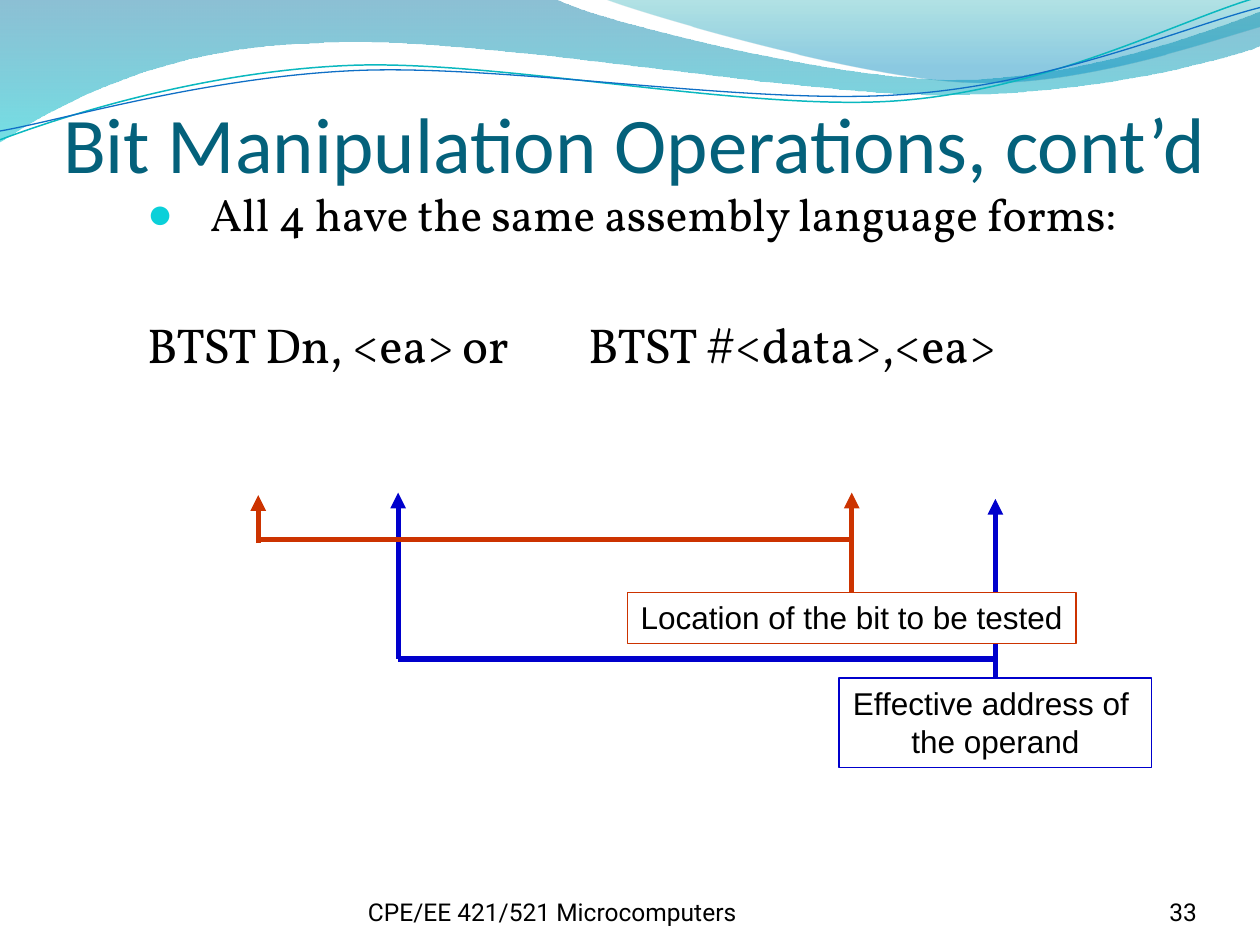
from pptx import Presentation
from pptx.dml.color import RGBColor
from pptx.enum.shapes import MSO_CONNECTOR, MSO_SHAPE
from pptx.enum.text import MSO_ANCHOR, PP_ALIGN
from pptx.oxml.ns import qn
from pptx.util import Inches, Pt
from lxml.etree import SubElement

THEME = {
    "title": {"font": "Calibri", "size": 45, "color": "04617B"},
    "body": {"font": "Vollkorn", "size": 26, "color": "000000"},
    "syntax": {"font": "Vollkorn", "size": 28, "color": "000000"},
    "label": {"font": "Arial", "size": 18, "color": "000000"},
    "footer": {"font": "Roboto", "size": 14, "color": "000000"},
    "bullet": "0BD0D9", "address": "0000CC", "bit": "CC3300", "paper": "FFFFFF",
}
TITLE = "Bit Manipulation Operations, cont’d"
BULLET = "All 4 have the same assembly language forms:"
SYNTAX = "BTST Dn, <ea>\tor\tBTST #<data>,<ea>"
SYNTAX_TABS = (2.5, 3.5)
FOOTERS = [
    ("CPE/EE 421/521 Microcomputers", (2.92, 6.95, 3.67, 0.4), PP_ALIGN.LEFT),
    ("33", (8.67, 6.95, 0.83, 0.4), PP_ALIGN.RIGHT),
]
WAVES = [
    {"steps": [(0, 0), (4.4, -0.01), (4.76, 0.17, 6.64, 0.63, 7.58, 0.63),
               (8.53, 0.63, 9.58, 0.26, 10, 0.09), (10.01, 0.36),
               (9.83, 0.44, 8.7, 0.76, 7.46, 0.75), (6.22, 0.75, 3.82, 0.28, 2.57, 0.34),
               (1.29, 0.36, 0.46, 0.83, -0.01, 1.13), (0, 0)],
     "stops": [(0, "0074A1", 45), (1, "00C6CF", 55)]},
    {"steps": [(4.79, -0.01), (5.09, 0.11, 6.82, 0.62, 7.69, 0.65),
               (8.56, 0.69, 9.61, 0.32, 10, 0.21), (10, 0), (4.79, -0.01)],
     "stops": [(0, "00A1A9", 30), (0.8, "008BBF", 45)]},
    {"steps": [(0, 1.11), (0.48, 0.93, 1.58, 0.57, 2.77, 0.52),
               (3.95, 0.47, 5.93, 0.89, 7.13, 0.8), (8.33, 0.71, 9.38, 0.15, 9.98, -0.02)],
     "line": ("0AB8BF", 0.85)},
    {"steps": [(0, 1.04), (0.47, 0.96, 1.64, 0.61, 2.83, 0.56),
               (4.03, 0.51, 5.97, 0.84, 7.17, 0.75), (8.36, 0.67, 9.41, 0.21, 10, 0.06)],
     "line": ("0F6FC6", 0.75)},
]
CALLOUTS = [
    {"text": "Effective address of \nthe operand", "box": (6.66, 5.38, 2.48, 0.71),
     "color": THEME["address"], "fill": None,
     "left": 3.16, "left_foot": 5.23, "left_tip": 3.91, "right_tip": 3.96, "bar": 5.23},
    {"text": "Location of the bit to be tested", "box": (4.98, 4.7, 3.56, 0.41),
     "color": THEME["bit"], "fill": THEME["paper"],
     "left": 2.05, "left_foot": 4.31, "left_tip": 3.93, "right_tip": 3.91, "bar": 4.28},
]


def write(paragraph, text, *, font, size, color, align=PP_ALIGN.LEFT, before=0):
    paragraph.text = text
    paragraph.alignment = align
    paragraph.space_before = Pt(before)
    for run in paragraph.runs:
        run.font.name = font
        run.font.size = Pt(size)
        run.font.color.rgb = RGBColor.from_string(color)


def set_line(shape, color, width):
    shape.line.color.rgb = RGBColor.from_string(color)
    shape.line.width = Pt(width)


def add_text_box(slide, box, insets=(0, 0, 0, 0), anchor=MSO_ANCHOR.BOTTOM):
    frame = slide.shapes.add_textbox(*map(Inches, box)).text_frame
    frame.word_wrap = True
    frame.vertical_anchor = anchor
    frame.margin_left, frame.margin_top, frame.margin_right, frame.margin_bottom = map(Inches, insets)
    return frame


def bend_segments(shape, steps):
    segments = list(shape._element.spPr.iter(qn("a:lnTo")))
    for segment, step in zip(segments, steps[1:]):
        if len(step) == 2:
            continue
        segment.tag = qn("a:cubicBezTo")
        for point in list(segment):
            segment.remove(point)
        for x, y in zip(step[::2], step[1::2]):
            SubElement(segment, qn("a:pt"), x=str(Inches(x) - shape.left), y=str(Inches(y) - shape.top))


def add_wave(slide, steps, stops=None, line=None):
    anchors = [tuple(map(Inches, step[-2:])) for step in steps]
    builder = slide.shapes.build_freeform(*anchors[0])
    builder.add_line_segments(anchors[1:], close=stops is not None)
    shape = builder.convert_to_shape()
    bend_segments(shape, steps)
    shape.shadow.inherit = False
    if line:
        shape.fill.background()
        set_line(shape, *line)
        return
    shape.line.fill.background()
    shape.fill.gradient()
    shape.fill.gradient_angle = 270
    for stop, (position, color, _) in zip(shape.fill.gradient_stops, stops):
        stop.position = position
        stop.color.rgb = RGBColor.from_string(color)
    colors = shape._element.spPr.iter(qn("a:srgbClr"))
    for node, (_, _, opacity) in zip(list(colors), stops):
        SubElement(node, qn("a:alpha"), val=str(opacity * 1000))


def add_line(slide, start, end, color, arrow=False):
    connector = slide.shapes.add_connector(MSO_CONNECTOR.STRAIGHT, *map(Inches, start + end))
    set_line(connector, color, 3)
    if arrow:
        SubElement(connector.line._get_or_add_ln(), qn("a:tailEnd"), type="triangle")
    SubElement(connector._element.spPr, qn("a:effectLst"))
    return connector


def add_callout(slide, text, box, color, fill, left, left_foot, left_tip, right_tip, bar):
    shape = slide.shapes.add_shape(MSO_SHAPE.RECTANGLE, *map(Inches, box))
    shape.shadow.inherit = False
    set_line(shape, color, 0.75)
    if fill:
        shape.fill.solid()
        shape.fill.fore_color.rgb = RGBColor.from_string(fill)
    else:
        shape.fill.background()
    shape.text_frame.word_wrap = False
    shape.text_frame.vertical_anchor = MSO_ANCHOR.TOP
    write(shape.text_frame.paragraphs[0], text, align=PP_ALIGN.CENTER, **THEME["label"])
    center = box[0] + box[2] / 2
    add_line(slide, (left, left_foot), (left, left_tip), color, arrow=True)
    stem = add_line(slide, (center, box[1]), (center, right_tip), color, arrow=True)
    stem.begin_connect(shape, 0)
    add_line(slide, (left, bar), (center, bar), color)


def add_body(slide):
    frame = add_text_box(slide, (1.07, 1.43, 8.93, 5.79), (0.1, 0.05, 0.1, 0.05), MSO_ANCHOR.TOP)
    bullet, syntax = frame.paragraphs[0], frame.add_paragraph()
    write(bullet, BULLET, **THEME["body"])
    write(syntax, SYNTAX, before=42, **THEME["syntax"])
    properties = bullet._p.get_or_add_pPr()
    properties.set("marL", str(Inches(0.5)))
    properties.set("indent", str(-Inches(0.5)))
    SubElement(SubElement(properties, qn("a:buClr")), qn("a:srgbClr"), val=THEME["bullet"])
    SubElement(properties, qn("a:buSzPct"), val="95000")
    SubElement(properties, qn("a:buFont"), typeface=THEME["label"]["font"])
    SubElement(properties, qn("a:buChar"), char="●")
    tabs = SubElement(syntax._p.get_or_add_pPr(), qn("a:tabLst"))
    for position in SYNTAX_TABS:
        SubElement(tabs, qn("a:tab"), pos=str(Inches(position)), algn="l")


def main():
    """Build the bit manipulation slide."""
    presentation = Presentation()
    presentation.slide_width, presentation.slide_height = Inches(10), Inches(7.5)
    slide = presentation.slides.add_slide(presentation.slide_layouts[6])
    for wave in WAVES:
        add_wave(slide, **wave)
    for text, box, align in FOOTERS:
        write(add_text_box(slide, box).paragraphs[0], text, align=align, **THEME["footer"])
    title = add_text_box(slide, (0.5, 0.77, 9.08, 0.73), (0, 0.05, 0, 0))
    write(title.paragraphs[0], TITLE, **THEME["title"])
    add_body(slide)
    for callout in CALLOUTS:
        add_callout(slide, **callout)
    presentation.save("out.pptx")


if __name__ == "__main__":
    main()
